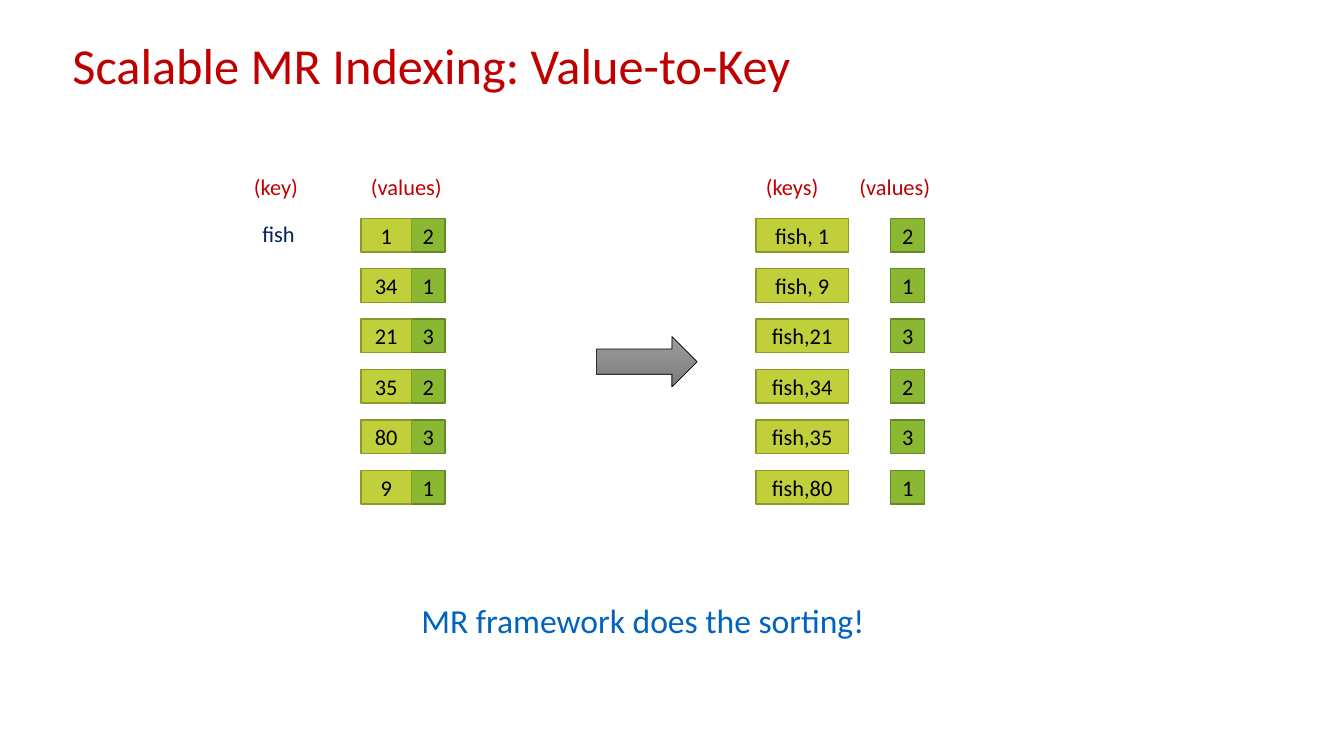
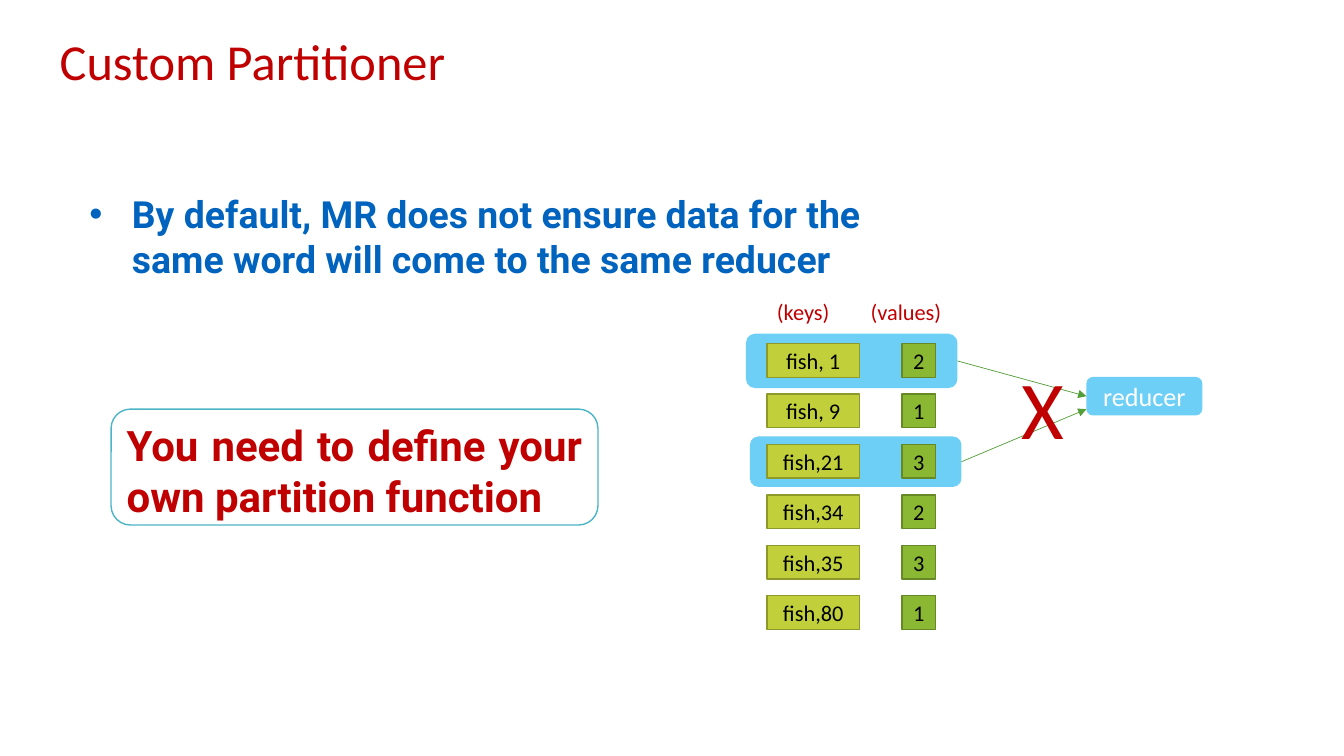
import dataclasses

import lxml.etree
import pptx
import pptx.dml.color
import pptx.enum.shapes
import pptx.enum.text
import pptx.oxml.ns
import pptx.util

Cm = pptx.util.Cm
Pt = pptx.util.Pt
FORM = pptx.enum.shapes.MSO_SHAPE
ALIGN = pptx.enum.text.PP_ALIGN
ANCHOR = pptx.enum.text.MSO_ANCHOR
FIT = pptx.enum.text.MSO_AUTO_SIZE


@dataclasses.dataclass(frozen=True)
class Theme:
    red: str = "C00000"
    blue: str = "0063BE"
    navy: str = "002060"
    sky: str = "6DCFF6"
    teal: str = "4AB5C4"
    lime: str = "C0CF3A"
    olive: str = "8E992B"
    green: str = "8AB833"
    moss: str = "668826"
    leaf: str = "549E39"
    pale: str = "9D9D9D"
    grey: str = "7C7C7C"
    black: str = "000000"
    white: str = "FFFFFF"
    plain: str = "Calibri"
    strong: str = "Roboto"
    title: float = 36
    label: float = 16
    node: float = 18.7
    note: float = 24
    point: float = 26.7
    call: float = 30
    cross: float = 58.7


THEME = Theme()
CELL = 0.85  # cm, height of a cell and width of a value
STEP = 1.27  # cm, from one row to the next
NUMS = [1, 34, 21, 35, 80, 9]
COUNTS = [2, 1, 3, 2, 3, 1]
PAIRS = [f"fish,{num:>2}" for num in sorted(NUMS)]


def rgb(code):
    return pptx.dml.color.RGBColor.from_string(code)


def write(frame, text, size, color, font=THEME.plain, bold=False, align=ALIGN.LEFT):
    par = frame.paragraphs[0]
    par.alignment = align
    run = par.add_run()
    run.text = text
    run.font.size = Pt(size)
    run.font.name = font
    run.font.bold = bold
    run.font.color.rgb = rgb(color)
    return par


def place(item, box):
    item.left, item.top, item.width, item.height = map(Cm, box)


def label(slide, box, text, size=THEME.label, color=THEME.red):
    frame = slide.shapes.add_textbox(*map(Cm, box)).text_frame
    frame.word_wrap = False
    frame.auto_size = FIT.SHAPE_TO_FIT_TEXT
    write(frame, text, size, color)


def block(slide, form, box, fill, edge=None, width=1):
    """Add a flat shape; without an edge colour it has no line."""
    shape = slide.shapes.add_shape(form, *map(Cm, box))
    shape.shadow.inherit = False
    shape.fill.solid()
    shape.fill.fore_color.rgb = rgb(fill)
    if edge:
        shape.line.color.rgb = rgb(edge)
        shape.line.width = Pt(width)
    else:
        shape.line.fill.background()
    return shape


def centre(shape, text, size, color):
    frame = shape.text_frame
    frame.margin_left = frame.margin_right = 0
    frame.vertical_anchor = ANCHOR.MIDDLE
    write(frame, text, size, color, align=ALIGN.CENTER)


def grid(slide, left, top, keys, width, shift):
    """Stack key cells of the given width, with values shifted from the left."""
    for row, (key, count) in enumerate(zip(keys, COUNTS)):
        y = top + row * STEP
        for x, wide, text, fill, edge in (
            (left + shift, CELL, count, THEME.green, THEME.moss),
            (left, width, key, THEME.lime, THEME.olive),
        ):
            cell = block(slide, FORM.RECTANGLE, (x, y, wide, CELL), fill, edge)
            centre(cell, str(text), THEME.label, THEME.black)


def sorted_grid(slide, left, top):
    """Draw the sorted pairs with their headings."""
    label(slide, (left, top - STEP, 1.85, 0.94), "(keys)")
    label(slide, (left + 2.36, top - STEP, 2.31, 0.94), "(values)")
    grid(slide, left, top, PAIRS, 2.33, 3.4)


def raw_grid(slide, left, top):
    """Draw the one key and its unsorted values."""
    label(slide, (left - 2.95, top - STEP, 1.65, 0.94), "(key)")
    label(slide, (left, top - STEP, 2.31, 0.94), "(values)")
    label(slide, (left - 2.74, top - 0.08, 1.35, 0.94), "fish", color=THEME.navy)
    grid(slide, left, top, NUMS, 1.27, 1.27)


def start(deck, layout, left, top, text):
    """Add a slide with its title at the given place."""
    slide = deck.slides.add_slide(deck.slide_layouts[layout])
    title = slide.shapes.title
    place(title, (left, top, 25.4, 1.9))
    frame = title.text_frame
    frame.auto_size = FIT.NONE
    frame.vertical_anchor = ANCHOR.MIDDLE
    write(frame, text, THEME.title, THEME.red)
    return slide


def arrow(slide, box):
    shape = block(slide, FORM.RIGHT_ARROW, box, THEME.grey, THEME.black, 0.5)
    shape.fill.gradient()
    shape.fill.gradient_angle = 270
    for stop, color in zip(shape.fill.gradient_stops, (THEME.pale, THEME.grey)):
        stop.color.rgb = rgb(color)


def bullet(slide, box, text):
    body = slide.placeholders[1]
    place(body, box)
    frame = body.text_frame
    frame.auto_size = FIT.NONE
    par = write(frame, text, THEME.point, THEME.blue, THEME.strong, True)
    par.space_before = Pt(0)
    props = par._p.get_or_add_pPr()
    props.set("marL", str(Cm(1.07)))
    props.set("indent", str(-Cm(1.07)))


def callout(slide, box, text):
    shape = block(slide, FORM.ROUNDED_RECTANGLE, box, THEME.white, THEME.teal)
    shape.text_frame.vertical_anchor = ANCHOR.TOP
    write(shape.text_frame, text, THEME.call, THEME.red, THEME.strong, True,
          ALIGN.JUSTIFY)


def link(slide, source, x, y):
    """Draw an arrow from the right side of source to a point."""
    line = slide.shapes.add_connector(
        pptx.enum.shapes.MSO_CONNECTOR.STRAIGHT, 0, 0, Cm(x), Cm(y))
    line.begin_connect(source, 3)
    line.line.color.rgb = rgb(THEME.leaf)
    line.line.width = Pt(0.5)
    name = pptx.oxml.ns.qn
    props = line.element.spPr
    lxml.etree.SubElement(props.find(name("a:ln")), name("a:tailEnd"), type="triangle")
    lxml.etree.SubElement(props, name("a:effectLst"))
    return line


def flow(slide, left, top):
    """Show two rows of the sorted grid on their way to one reducer."""
    first, second = (
        block(slide, FORM.ROUNDED_RECTANGLE, (left + x, top + y, 5.33, high), THEME.sky)
        for x, y, high in ((-0.53, -0.25, 1.37), (-0.43, 2.34, 1.27))
    )
    sorted_grid(slide, left, top)
    goal = block(slide, FORM.ROUNDED_RECTANGLE,
                 (left + 8.05, top + 0.84, 2.92, 0.97), THEME.sky)
    centre(goal, "reducer", THEME.node, THEME.white)
    link(slide, first, left + 8.05, top + 1.33).end_connect(goal, 1)
    link(slide, second, left + 8.05, top + 1.65)
    label(slide, (left + 6.17, top + 0.23, 1.6, 2.77), "X", THEME.cross)


def index_slide(deck):
    slide = start(deck, 5, 1.57, 0.66, "Scalable MR Indexing: Value-to-Key")
    raw_grid(slide, 9.1, 5.5)
    arrow(slide, (15.03, 8.48, 2.54, 1.27))
    sorted_grid(slide, 19.05, 5.5)
    label(slide, (10.37, 14.99, 11.78, 1.27), "MR framework does the sorting!",
          THEME.note, THEME.blue)


def split_slide(deck):
    slide = start(deck, 1, 1.25, 0.56, "Custom Partitioner")
    bullet(slide, (2, 4.7, 21.13, 2.54),
           "By default, MR does not ensure data for the same word "
           "will come to the same reducer")
    callout(slide, (2.8, 10.31, 12.27, 2.92),
            "You need to define your own partition function")
    flow(slide, 19.33, 8.66)


def main():
    deck = pptx.Presentation()
    deck.slide_width = Cm(33.87)
    deck.slide_height = Cm(19.05)
    index_slide(deck)
    split_slide(deck)
    deck.save("out.pptx")


if __name__ == "__main__":
    main()
